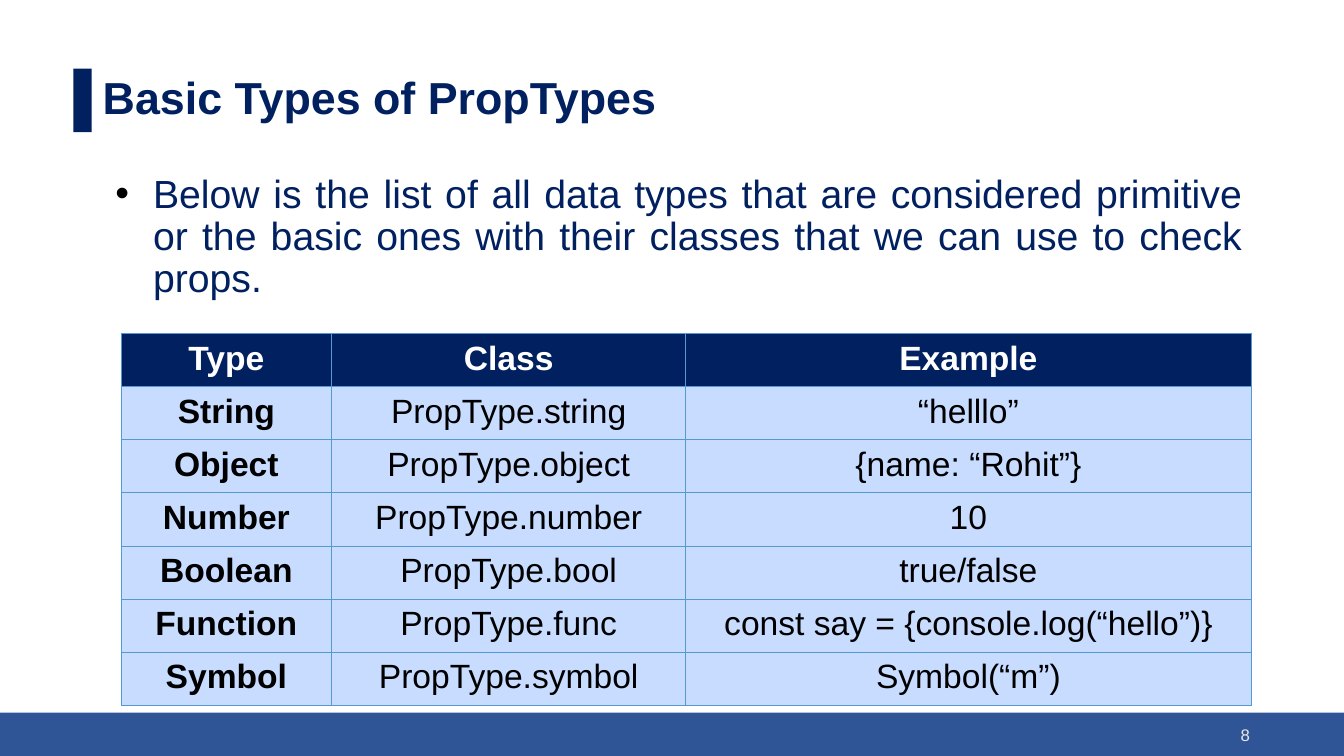
from dataclasses import dataclass

from lxml import etree
from pptx import Presentation
from pptx.dml.color import RGBColor
from pptx.enum.shapes import MSO_SHAPE
from pptx.enum.text import MSO_ANCHOR, PP_ALIGN
from pptx.oxml.ns import qn
from pptx.util import Cm, Pt

RECTANGLE = MSO_SHAPE.RECTANGLE
TOP, MIDDLE = MSO_ANCHOR.TOP, MSO_ANCHOR.MIDDLE
LEFT, CENTER, RIGHT, JUSTIFY = PP_ALIGN.LEFT, PP_ALIGN.CENTER, PP_ALIGN.RIGHT, PP_ALIGN.JUSTIFY

NAVY = RGBColor(0x00, 0x20, 0x60)
FOOTER_BLUE = RGBColor(0x2F, 0x55, 0x97)
BORDER_BLUE = RGBColor(0x56, 0x98, 0xD3)
CELL_BLUE = RGBColor(0xC7, 0xDC, 0xFF)
PALE_GRAY = RGBColor(0xE7, 0xE6, 0xE6)
WHITE = RGBColor(0xFF, 0xFF, 0xFF)
BLACK = RGBColor(0x00, 0x00, 0x00)

FONT = "Arial"
SLIDE_WIDTH, SLIDE_HEIGHT = 33.87, 19.05
COLUMN_WIDTHS = (5.31, 8.92, 14.25)
ROW_HEIGHT = 1.3
CELL_MARGIN = 0.16


@dataclass(frozen=True)
class Box:
    """Position and size in centimetres."""
    left: float
    top: float
    width: float
    height: float

    def lengths(self):
        return Cm(self.left), Cm(self.top), Cm(self.width), Cm(self.height)


@dataclass(frozen=True)
class Bar:
    box: Box
    color: RGBColor


@dataclass(frozen=True)
class TextBlock:
    box: Box
    text: str
    size: int
    color: RGBColor
    bold: bool = False
    alignment: PP_ALIGN = LEFT
    anchor: MSO_ANCHOR = MIDDLE
    line_spacing: float = 1.0


BARS = (
    Bar(Box(0, 17.96, SLIDE_WIDTH, 1.09), FOOTER_BLUE),
    Bar(Box(1.85, 1.73, 0.46, 1.6), NAVY),
)
TITLE = TextBlock(Box(2.34, 1.73, 29.21, 1.6), "Basic Types of PropTypes",
                  32, NAVY, bold=True, line_spacing=0.9)
INTRODUCTION = TextBlock(
    Box(2.34, 4.27, 29.21, 12.09),
    "Below is the list of all data types that are considered primitive or the "
    "basic ones with their classes that we can use to check props.",
    28, NAVY, alignment=JUSTIFY, anchor=TOP, line_spacing=0.9)
PAGE_NUMBER = TextBlock(Box(24.13, 18.01, 7.62, 1.02), "8", 12, PALE_GRAY, alignment=RIGHT)

TYPE_ROWS = (
    ("Type", "Class", "Example"),
    ("String", "PropType.string", "“helllo”"),
    ("Object", "PropType.object", "{name: “Rohit”}"),
    ("Number", "PropType.number", "10"),
    ("Boolean", "PropType.bool", "true/false"),
    ("Function", "PropType.func", "const say = {console.log(“hello”)}"),
    ("Symbol", "PropType.symbol", "Symbol(“m”)"),
)
TABLE_BOX = Box(3.05, 8.41, sum(COLUMN_WIDTHS), ROW_HEIGHT * len(TYPE_ROWS))


def add_bar(slide, bar: Bar) -> None:
    shape = slide.shapes.add_shape(RECTANGLE, *bar.box.lengths())
    shape.shadow.inherit = False
    shape.fill.solid()
    shape.fill.fore_color.rgb = bar.color
    shape.line.fill.background()


def style_paragraph(paragraph, size: int, color: RGBColor, bold: bool,
                    alignment: PP_ALIGN) -> None:
    paragraph.alignment = alignment
    paragraph.font.name = FONT
    paragraph.font.size = Pt(size)
    paragraph.font.bold = bold
    paragraph.font.color.rgb = color


def add_text(slide, block: TextBlock):
    shape = slide.shapes.add_textbox(*block.box.lengths())
    frame = shape.text_frame
    frame.word_wrap = True
    frame.vertical_anchor = block.anchor
    frame.text = block.text
    paragraph = frame.paragraphs[0]
    paragraph.line_spacing = block.line_spacing
    style_paragraph(paragraph, block.size, block.color, block.bold, block.alignment)
    return shape


def add_bullet(paragraph) -> None:
    """Give the paragraph a black bullet and a hanging indent."""
    paragraph.space_before = Pt(10)
    properties = paragraph._p.get_or_add_pPr()
    properties.set("marL", str(Cm(1.27)))
    properties.set("indent", str(Cm(-0.95)))
    bullet_color = etree.Element(qn("a:buClr"))
    etree.SubElement(bullet_color, qn("a:srgbClr"), val=str(BLACK))
    bullet_font = etree.Element(qn("a:buFont"), typeface=FONT)
    bullet = etree.Element(qn("a:buChar"), char="•")
    position = properties.index(properties.find(qn("a:spcBef"))) + 1
    for offset, element in enumerate((bullet_color, bullet_font, bullet)):
        properties.insert(position + offset, element)


def add_borders(cell) -> None:
    properties = cell._tc.get_or_add_tcPr()
    for position, side in enumerate(("lnL", "lnR", "lnT", "lnB")):
        line = etree.Element(qn(f"a:{side}"), w=str(Pt(0.75)))
        fill = etree.SubElement(line, qn("a:solidFill"))
        etree.SubElement(fill, qn("a:srgbClr"), val=str(BORDER_BLUE))
        properties.insert(position, line)


def fill_cell(cell, text: str, is_header: bool, is_bold: bool) -> None:
    cell.text = text
    cell.margin_left = cell.margin_right = Cm(CELL_MARGIN)
    cell.margin_top = cell.margin_bottom = Cm(CELL_MARGIN)
    cell.fill.solid()
    cell.fill.fore_color.rgb = NAVY if is_header else CELL_BLUE
    style_paragraph(cell.text_frame.paragraphs[0], 24,
                    WHITE if is_header else BLACK, is_bold, CENTER)
    add_borders(cell)


def add_type_table(slide) -> None:
    table = slide.shapes.add_table(len(TYPE_ROWS), len(COLUMN_WIDTHS),
                                   *TABLE_BOX.lengths()).table
    table.horz_banding = False
    for column, width in zip(table.columns, COLUMN_WIDTHS):
        column.width = Cm(width)
    for row_index, texts in enumerate(TYPE_ROWS):
        table.rows[row_index].height = Cm(ROW_HEIGHT)
        is_header = row_index == 0
        for column_index, text in enumerate(texts):
            fill_cell(table.cell(row_index, column_index), text, is_header,
                      is_bold=is_header or column_index == 0)


def main() -> None:
    presentation = Presentation()
    presentation.slide_width = Cm(SLIDE_WIDTH)
    presentation.slide_height = Cm(SLIDE_HEIGHT)
    slide = presentation.slides.add_slide(presentation.slide_layouts[6])

    for bar in BARS:
        add_bar(slide, bar)
    title = add_text(slide, TITLE)
    title.fill.solid()
    title.fill.fore_color.rgb = WHITE
    introduction = add_text(slide, INTRODUCTION)
    add_bullet(introduction.text_frame.paragraphs[0])
    add_text(slide, PAGE_NUMBER)
    add_type_table(slide)

    presentation.save("out.pptx")


if __name__ == "__main__":
    main()
